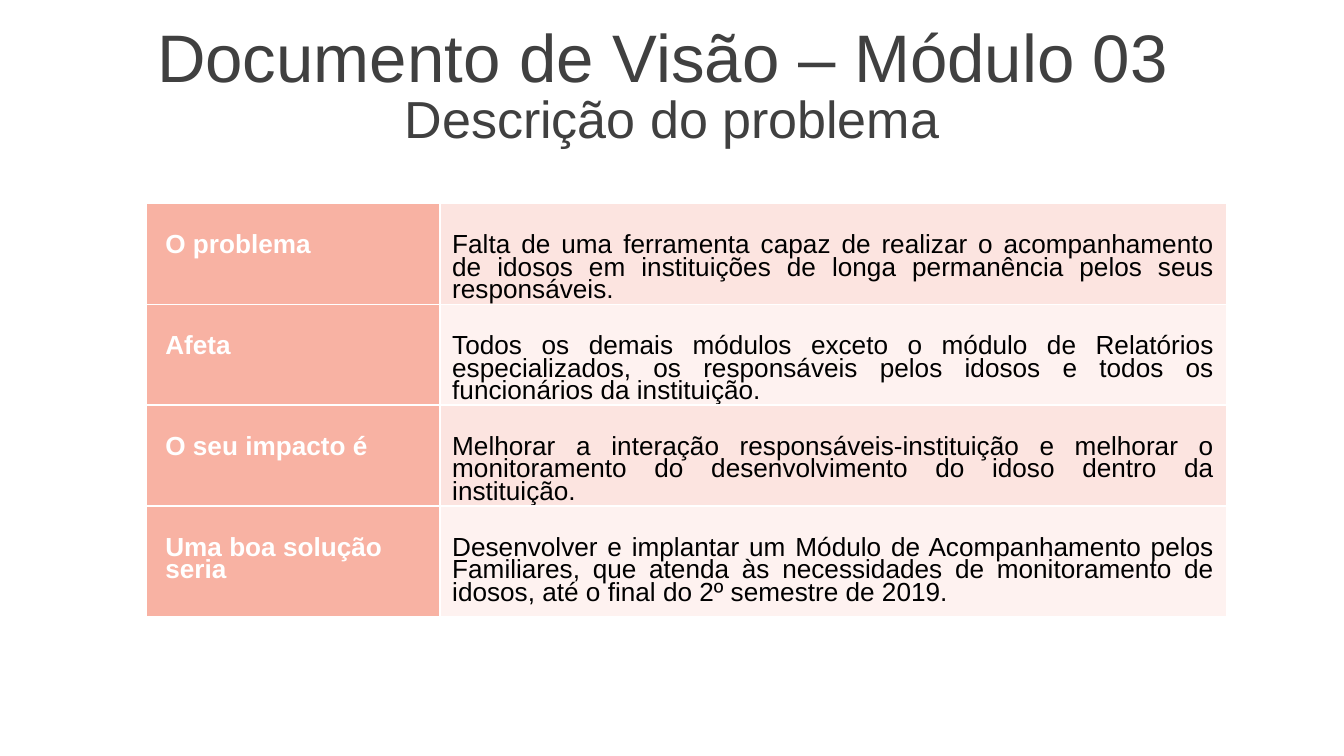
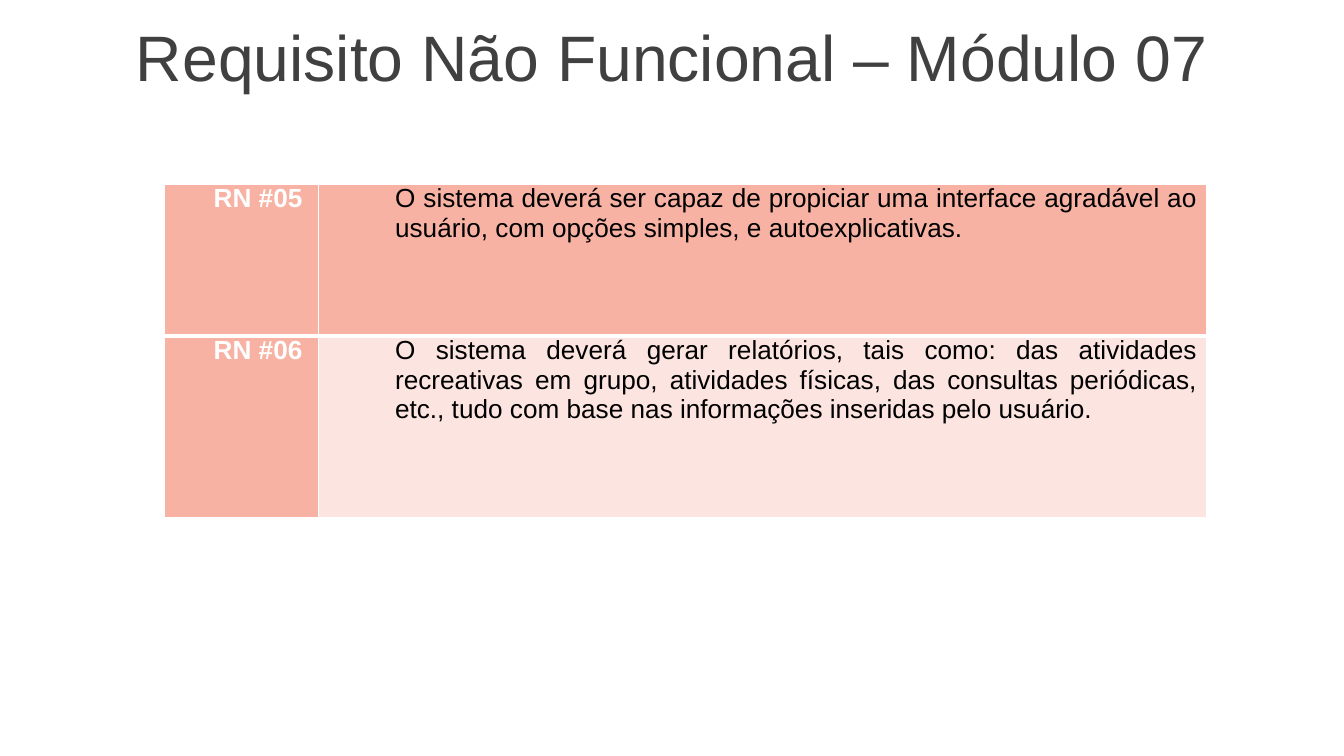
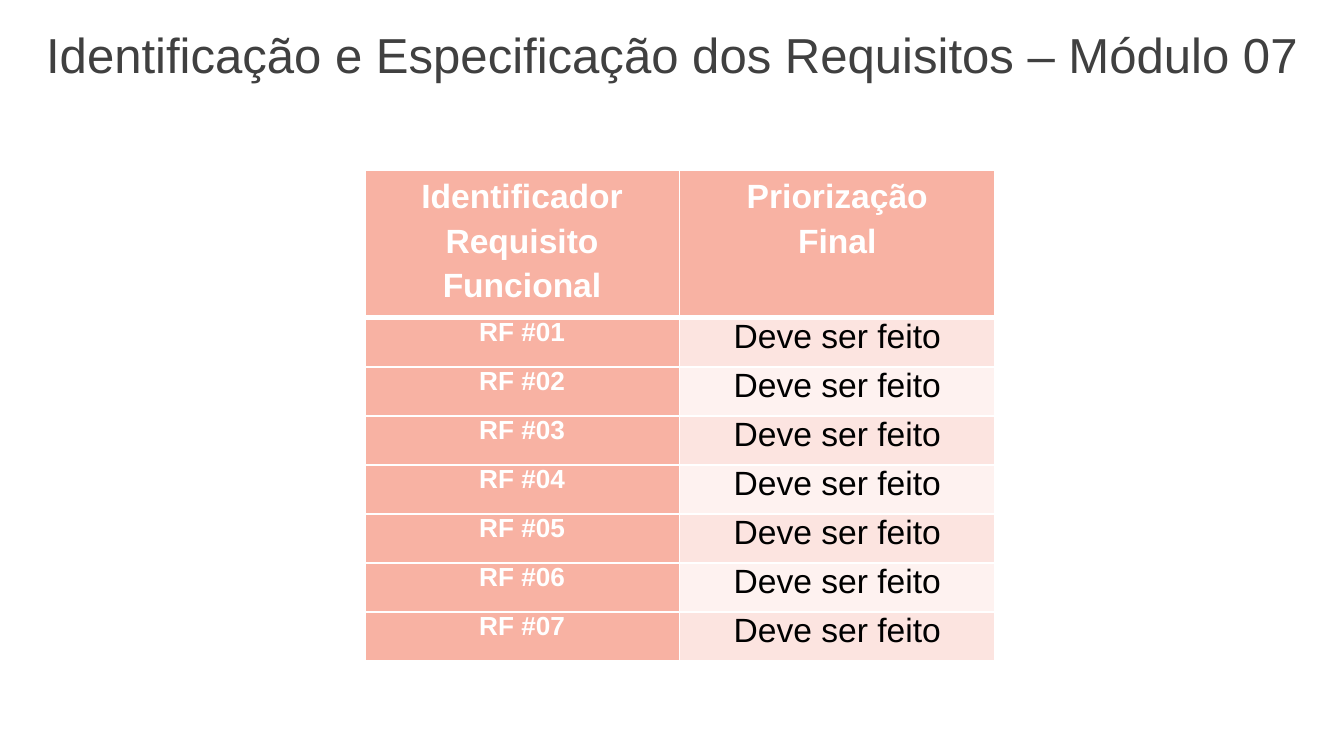
from dataclasses import dataclass
from typing import Optional

from lxml import etree
from pptx import Presentation
from pptx import util as u
from pptx.dml.color import RGBColor
from pptx.enum import text
from pptx.oxml.ns import qn

# Shared scale, colours and font: 200 px to the inch
PX = 4572
SLIDE_W, SLIDE_H = 2000, 1125
FONT = "Arial"
WHITE = RGBColor(0xFF, 0xFF, 0xFF)
BLACK = RGBColor(0x00, 0x00, 0x00)
GRAY = RGBColor(0x40, 0x40, 0x40)
SALMON = RGBColor(0xF8, 0xB2, 0xA3)
BANDS = (RGBColor(0xFC, 0xE4, 0xE0), RGBColor(0xFE, 0xF2, 0xF0))

LEFT, CENTER, JUSTIFY = (text.PP_ALIGN.LEFT, text.PP_ALIGN.CENTER,
                         text.PP_ALIGN.JUSTIFY)
THIN, THICK = 1, 3  # border widths in points


@dataclass(frozen=True)
class Style:
    size: float
    color: RGBColor
    bold: bool = False
    align: text.PP_ALIGN = CENTER
    indent: int = 0
    line_pt: Optional[float] = None
    after_pt: float = 0


@dataclass(frozen=True)
class TableSpec:
    left: int
    top: int
    widths: list[int]
    heights: list[int]
    rows: list[tuple[str, str]]
    styles: tuple[Style, Style]
    side_inset: int = 14
    top_inset: int = 0
    has_header: bool = False
    header_style: Optional[Style] = None


def px(n: int) -> u.Emu:
    return u.Emu(n * PX)


def add_run(p, words: str, size: float, color: RGBColor, bold: bool) -> None:
    r = p.add_run()
    r.text = words
    r.font.name = FONT
    r.font.size = u.Pt(size)
    r.font.bold = bold
    r.font.color.rgb = color


# Headings
def set_heading(sp, words: str, size: float, box: tuple[int, int, int, int],
                spacing: float) -> None:
    sp.left, sp.top, sp.width, sp.height = (px(n) for n in box)
    tf = sp.text_frame
    tf.word_wrap = True
    tf.auto_size = text.MSO_AUTO_SIZE.NONE
    tf.vertical_anchor = text.MSO_ANCHOR.MIDDLE
    tf.margin_left = tf.margin_top = tf.margin_right = tf.margin_bottom = 0
    p = tf.paragraphs[0]
    p.alignment = CENTER
    p.line_spacing = spacing
    add_run(p, words, size, GRAY, False)


def add_titled_slide(prs, title: str, size: float, spacing: float = 0.9):
    s = prs.slides.add_slide(prs.slide_layouts[5])
    set_heading(s.shapes.title, title, size, (0, 28, SLIDE_W, 126), spacing)
    return s


# Tables
def set_borders(cell, top: int, bottom: int) -> None:
    tc_pr = cell._tc.get_or_add_tcPr()
    for side, width in (("L", THIN), ("R", THIN), ("T", top), ("B", bottom)):
        ln = etree.SubElement(tc_pr, qn(f"a:ln{side}"), w=str(u.Pt(width)))
        fill = etree.SubElement(ln, qn("a:solidFill"))
        etree.SubElement(fill, qn("a:srgbClr"), val=str(WHITE))


def write_cell(cell, words: str, style: Style) -> None:
    tf = cell.text_frame
    for i, line in enumerate(words.split("\n")):
        p = tf.add_paragraph() if i else tf.paragraphs[0]
        p.alignment = style.align
        if style.line_pt:
            p.line_spacing = u.Pt(style.line_pt)
        p.space_after = u.Pt(style.after_pt)
        p_pr = p._p.get_or_add_pPr()
        p_pr.set("marL", str(px(style.indent)))
        p_pr.set("indent", "0")
        add_run(p, line, style.size, style.color, style.bold)


def add_table(s, spec: TableSpec) -> None:
    frame = s.shapes.add_table(
        len(spec.rows), len(spec.widths), px(spec.left), px(spec.top),
        px(sum(spec.widths)), px(sum(spec.heights)))
    table = frame.table
    table.first_row = table.horz_banding = False
    for column, width in zip(table.columns, spec.widths):
        column.width = px(width)
    for row, height in zip(table.rows, spec.heights):
        row.height = px(height)

    for i, words in enumerate(spec.rows):
        in_header = spec.has_header and i == 0
        below_header = spec.has_header and i == 1
        band = BANDS[(i - spec.has_header) % 2]
        for j, style in enumerate(spec.styles):
            cell = table.cell(i, j)
            cell.margin_left = cell.margin_right = px(spec.side_inset)
            cell.margin_top, cell.margin_bottom = px(spec.top_inset), 0
            set_borders(cell, THICK if below_header else THIN,
                        THICK if in_header else THIN)
            cell.fill.solid()
            cell.fill.fore_color.rgb = SALMON if j == 0 or in_header else band
            if in_header and spec.header_style:
                style = spec.header_style
            write_cell(cell, words[j], style)


# Slides
def add_problem_slide(prs) -> None:
    s = add_titled_slide(prs, "Documento de Visão – Módulo 03 ", 36)
    subtitle = s.shapes.add_textbox(0, 0, 0, 0)
    set_heading(subtitle, "Descrição do problema", 27.9,
                (474, 154, 1052, 66), 0.7)
    add_table(s, TableSpec(
        left=218, top=303, widths=[437, 1170], heights=[150, 150, 150, 165],
        rows=[
            ("O problema",
             "Falta de uma ferramenta capaz de realizar o acompanhamento de "
             "idosos em instituições de longa permanência pelos seus "
             "responsáveis."),
            ("Afeta",
             "Todos os demais módulos exceto o módulo de Relatórios "
             "especializados, os responsáveis pelos idosos e todos os "
             "funcionários da instituição."),
            ("O seu impacto é",
             "Melhorar a interação responsáveis-instituição e melhorar o "
             "monitoramento do desenvolvimento do idoso dentro da "
             "instituição."),
            ("Uma boa solução seria",
             "Desenvolver e implantar um Módulo de Acompanhamento pelos "
             "Familiares, que atenda às necessidades de monitoramento de "
             "idosos, até o final do 2º semestre de 2019."),
        ],
        styles=(Style(14, WHITE, True, LEFT, 10, 12, 6),
                Style(14, BLACK, False, JUSTIFY, 0, 12, 6)),
        side_inset=18, top_inset=50))


def add_nonfunctional_slide(prs) -> None:
    s = add_titled_slide(prs, "Requisito Não Funcional – Módulo 07", 34.4)
    add_table(s, TableSpec(
        left=244, top=274, widths=[230, 1322], heights=[226, 270],
        rows=[
            ("RN #05",
             "O sistema deverá ser capaz de propiciar uma interface agradável "
             "ao usuário, com opções simples, e autoexplicativas."),
            ("RN #06",
             "O sistema deverá gerar relatórios, tais como: das atividades "
             "recreativas em grupo, atividades físicas, das consultas "
             "periódicas, etc., tudo com base nas informações inseridas pelo "
             "usuário."),
        ],
        styles=(Style(14, WHITE, True, LEFT, 60),
                Style(14, BLACK, False, JUSTIFY, 100)),
        has_header=True))


def add_priority_slide(prs) -> None:
    s = add_titled_slide(
        prs, "Identificação e Especificação dos Requisitos – Módulo 07",
        26.3, 0.7)
    header = ("Identificador\nRequisito\nFuncional", "Priorização\nFinal")
    requirements = [(f"RF #{n:02}", "Deve ser feito") for n in range(1, 8)]
    add_table(s, TableSpec(
        left=543, top=254, widths=[468, 470],
        heights=[219] + [73] * len(requirements),
        rows=[header] + requirements,
        styles=(Style(14, WHITE, True), Style(18, BLACK)),
        has_header=True, header_style=Style(18, WHITE, True, line_pt=24)))


def main() -> None:
    prs = Presentation()
    prs.slide_width, prs.slide_height = px(SLIDE_W), px(SLIDE_H)
    add_problem_slide(prs)
    add_nonfunctional_slide(prs)
    add_priority_slide(prs)
    prs.save("out.pptx")


if __name__ == "__main__":
    main()
